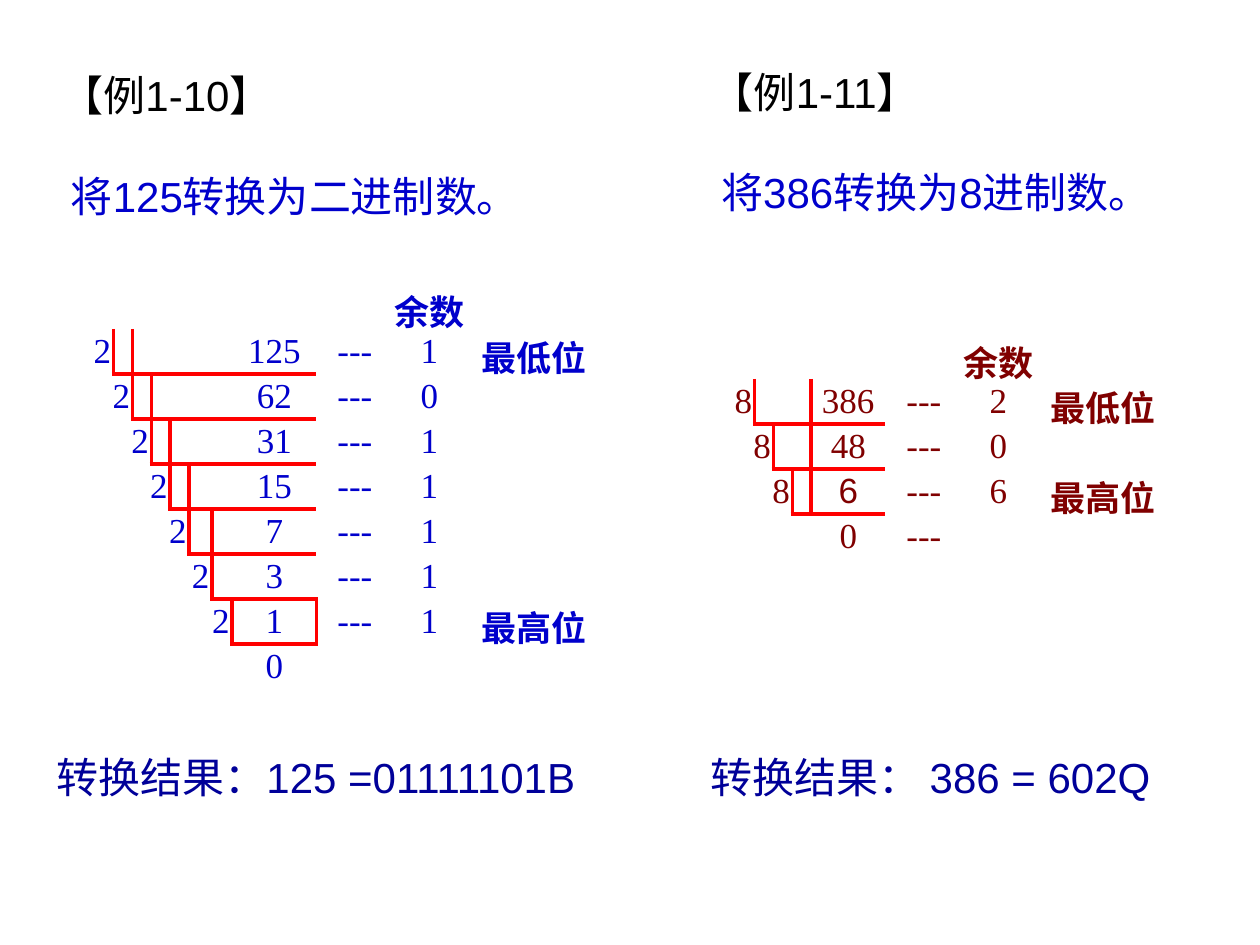
from lxml.etree import SubElement
from pptx import Presentation
from pptx.dml.color import RGBColor
from pptx.enum.text import MSO_ANCHOR as Anchor, MSO_AUTO_SIZE as AutoSize, PP_ALIGN as Align
from pptx.oxml.ns import qn
from pptx.util import Cm, Pt

BLACK = RGBColor(0, 0, 0)
BLUE = RGBColor(0x00, 0x00, 0xCC)
NAVY = RGBColor(0x00, 0x00, 0x99)
MAROON = RGBColor(0x80, 0x00, 0x00)
RED = RGBColor(0xFF, 0x00, 0x00)

SANS, SERIF = "Arial", "Times New Roman"
ROW_H = 0.907
NO_STYLE = "{2D5ABB26-0587-4C30-8999-92F81FD0307C}"


def write(p, text, size=24, font=SANS, color=BLACK, bold=False, align=Align.LEFT, before=0):
    p.alignment = align
    p.space_before = Pt(before)
    r = p.add_run()
    r.text = text
    r.font.size, r.font.name, r.font.bold = Pt(size), font, bold
    r.font.color.rgb = color


def set_margins(box):
    """Give a text frame or a table cell the slide's narrow insets."""
    box.margin_left = box.margin_right = Cm(0.05)
    box.margin_top = box.margin_bottom = Cm(0.03)


def place(sp, left, top, width, height):
    sp.left, sp.top, sp.width, sp.height = Cm(left), Cm(top), Cm(width), Cm(height)


def format_frame(sp, wrap=True, anchor=Anchor.TOP):
    tf = sp.text_frame
    set_margins(tf)
    tf.word_wrap, tf.vertical_anchor = wrap, anchor
    tf.auto_size = AutoSize.SHAPE_TO_FIT_TEXT
    return tf


def add_text_box(s, left, top, width, height, wrap=True):
    sp = s.shapes.add_textbox(Cm(left), Cm(top), Cm(width), Cm(height))
    return format_frame(sp, wrap)


def write_example(tf, number, task, gap):
    write(tf.paragraphs[0], f"【例{number}】")
    write(tf.add_paragraph(), f" {task}", color=BLUE, before=gap)


def set_borders(cell, sides):
    """Draw red borders on the given sides, a string of L, R, T and B."""
    tc_pr = cell._tc.get_or_add_tcPr()
    for i, side in enumerate(x for x in "LRTB" if x in sides):
        ln = SubElement(tc_pr, qn(f"a:ln{side}"), w=str(Pt(2.25)))
        fill = SubElement(ln, qn("a:solidFill"))
        SubElement(fill, qn("a:srgbClr"), val=str(RED))
        tc_pr.insert(i, ln)


def add_division(s, left, top, widths, base, values, remainders, color,
                 merge_steps=False, last_dash=False, sans_cells=()):
    """Add a staircase of repeated divisions; the last five columns hold
    the quotient, a gap, the dashes, the remainder and its label."""
    n_rows, n_cols = len(values) + 1, len(widths)
    value_col = n_cols - 5
    dash_col, rest_col, label_col = value_col + 2, value_col + 3, value_col + 4
    levels = len(remainders)
    frame = s.shapes.add_table(n_rows, n_cols, Cm(left), Cm(top),
                               Cm(sum(widths)), Cm(ROW_H * n_rows))
    table = frame.table
    table.first_row = table.horz_banding = False
    table._tbl.tblPr.find(qn("a:tableStyleId")).text = NO_STYLE
    for col, width in zip(table.columns, widths):
        col.width = Cm(width)
    for row in table.rows:
        row.height = Cm(ROW_H)
        for cell in row.cells:
            set_margins(cell)
            cell.vertical_anchor = Anchor.MIDDLE
            cell.fill.background()

    def put(row, col, text, align=Align.CENTER, bold=False):
        font = SANS if (row, col) in sans_cells else SERIF
        write(table.cell(row, col).text_frame.paragraphs[0], text, size=20,
              font=font, color=color, bold=bold, align=align)

    def merge(row, first, last):
        if last > first:
            table.cell(row, first).merge(table.cell(row, last))

    put(0, rest_col, "余数", bold=True)
    put(1, label_col, "最低位", Align.LEFT, bold=True)
    put(levels, label_col, "最高位", Align.LEFT, bold=True)
    if merge_steps:
        merge(0, 1, value_col - 1)
    for row, rest in enumerate(remainders, start=1):
        put(row, 0, base, Align.RIGHT)
        put(row, rest_col, rest)
        merge(row, 0, row - 1)
        if merge_steps:
            merge(row, row, value_col - 1)
        set_borders(table.cell(row, 0), "R")
        for col in range(row, value_col + 1):
            sides = "B" + ("L" if col == row else "") + ("T" if row > 1 else "")
            set_borders(table.cell(row, col), sides)
    merge(n_rows - 1, 0, value_col - 1)
    set_borders(table.cell(n_rows - 1, value_col), "T")
    for row, value in enumerate(values, start=1):
        put(row, value_col, value)
        if row <= levels or last_dash:
            put(row, dash_col, "---")


def main():
    prs = Presentation()
    prs.slide_width, prs.slide_height = Cm(25.4), Cm(19.05)
    s = prs.slides.add_slide(prs.slide_layouts[5])

    title = s.shapes.title
    place(title, 1.19, 1.35, 9.22, 3.15)
    write_example(format_frame(title, anchor=Anchor.MIDDLE),
                  "1-10", "将125转换为二进制数。", 29)
    write_example(add_text_box(s, 14.3, 1.32, 9.07, 3.15, wrap=False),
                  "1-11", "将386转换为8进制数。", 28)

    tail = [0.28, 0.99, 2.01, 2.59]
    add_division(s, 1.3, 5.72, [0.99] + [0.38] * 4 + [0.46, 0.41, 1.7] + tail,
                 "2", ["125", "62", "31", "15", "7", "3", "1", "0"], "1011111", BLUE)
    add_division(s, 14.22, 6.73, [0.99] + [0.38] * 3 + [1.5] + tail,
                 "8", ["386", "48", "6", "0"], "206", MAROON, merge_steps=True,
                 last_dash=True, sans_cells={(3, 4), (3, 8)})

    for left, width, result in ((1.09, 11.2, "转换结果：125 =01111101B"),
                                (14.27, 9.5, "转换结果： 386 = 602Q")):
        tf = add_text_box(s, left, 15.11, width, 1.09)
        write(tf.paragraphs[0], result, color=NAVY)

    prs.save("out.pptx")


if __name__ == "__main__":
    main()
